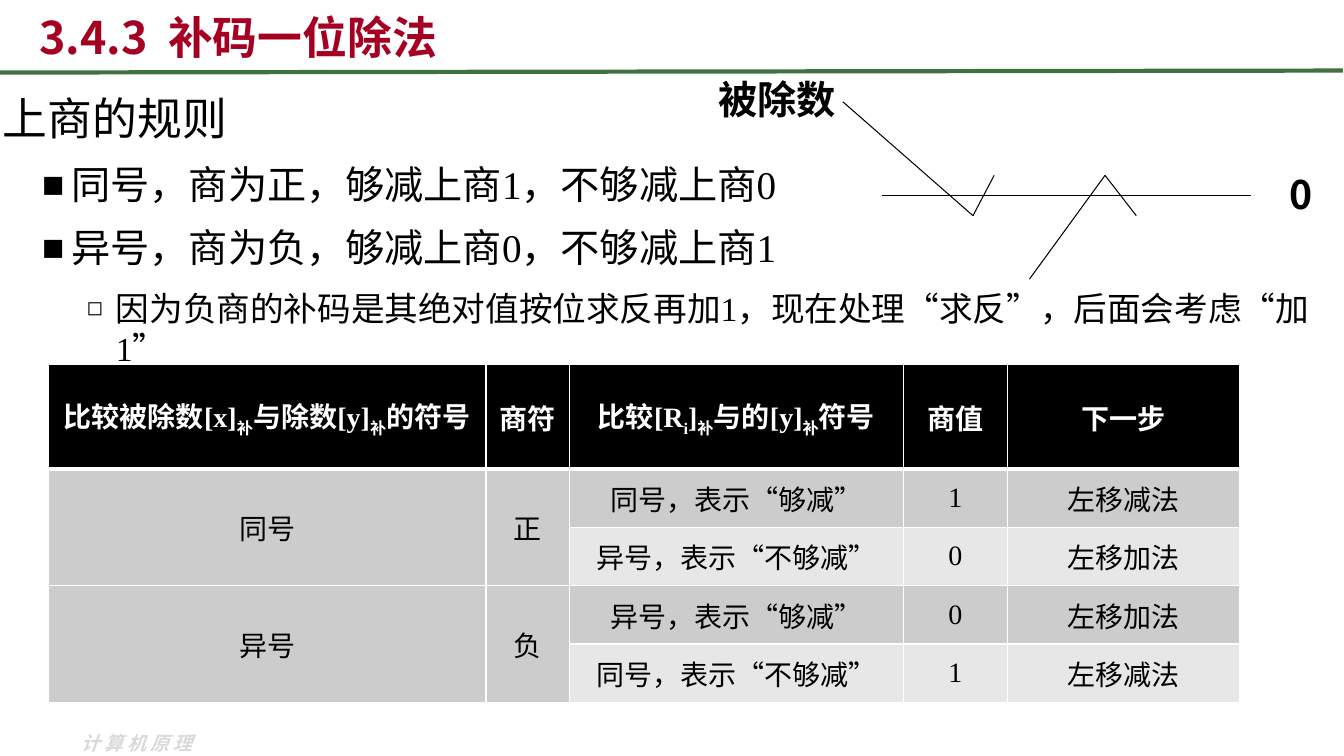
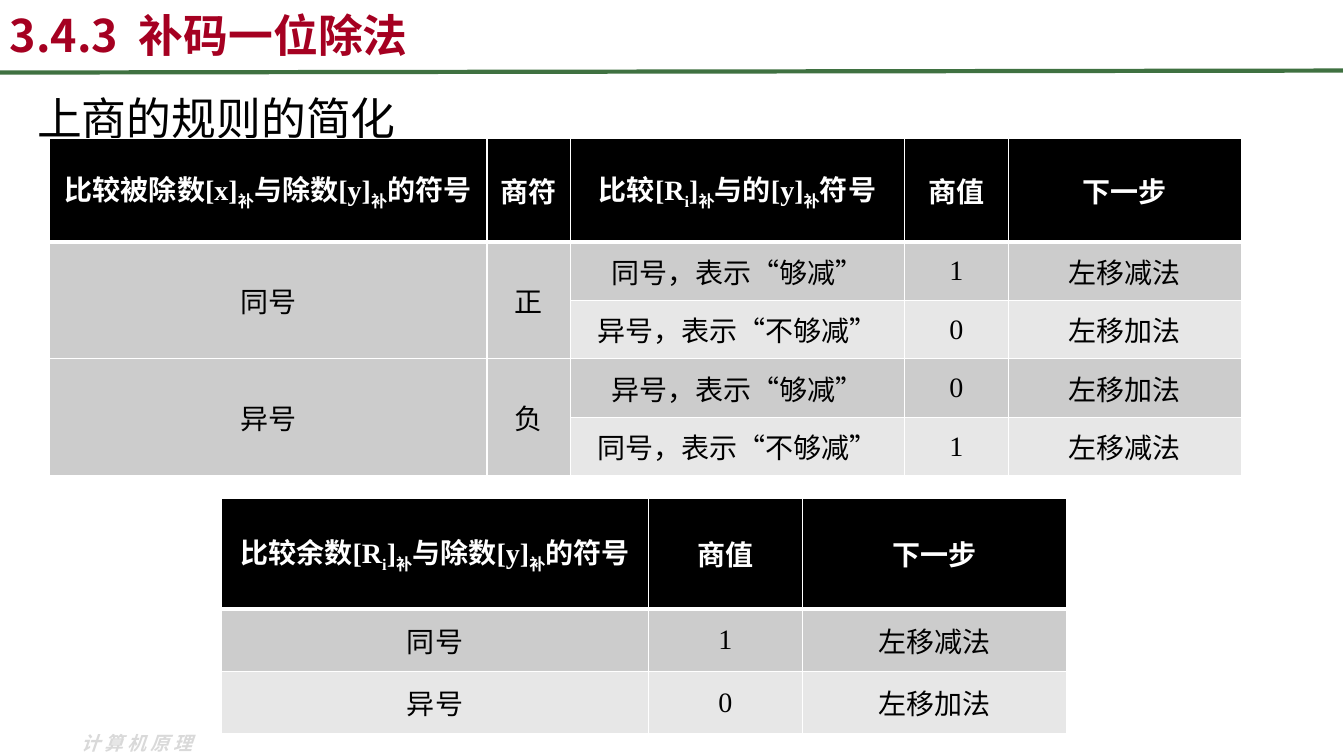
from itertools import pairwise

from lxml import etree
from pptx import Presentation
from pptx.dml.color import RGBColor
from pptx.enum.shapes import MSO_CONNECTOR
from pptx.enum.text import MSO_ANCHOR, PP_ALIGN
from pptx.oxml.ns import qn
from pptx.util import Inches, Pt

STRAIGHT = MSO_CONNECTOR.STRAIGHT
MIDDLE = MSO_ANCHOR.MIDDLE
LEFT, CENTER = PP_ALIGN.LEFT, PP_ALIGN.CENTER

BLACK = RGBColor(0x00, 0x00, 0x00)
WHITE = RGBColor(0xFF, 0xFF, 0xFF)
RED = RGBColor(0xA5, 0x00, 0x21)
GREEN = RGBColor(0x3F, 0x71, 0x41)
FOOTER_GREY = RGBColor(0xD9, 0xD9, 0xD9)
BANDS = (RGBColor(0xCC, 0xCC, 0xCC), RGBColor(0xE7, 0xE7, 0xE7))

SANS = "Noto Sans CJK SC"
SERIF = "Times New Roman"
BULLET_FONT = "DejaVu Sans"

TITLE = "3.4.3  补码一位除法"
FOOTER = "计算机原理"

# An underscore lowers the character after it; None continues the cell above.
RULE_ROWS = [
    ["比较被除数[x]_补与除数[y]_补的符号", "商符", "比较[R_i]_补与的[y]_补符号", "商值", "下一步"],
    ["同号", "正", "同号，表示“够减”", "1", "左移减法"],
    [None, None, "异号，表示“不够减”", "0", "左移加法"],
    ["异号", "负", "异号，表示“够减”", "0", "左移加法"],
    [None, None, "同号，表示“不够减”", "1", "左移减法"],
]
RULE_WIDTHS = (4.34, 0.83, 3.31, 1.03, 2.31)
RULE_HEIGHTS = (1.03, 0.58)

SHORT_ROWS = [
    ["比较余数[R_i]_补与除数[y]_补的符号", "商值", "下一步"],
    ["同号", "1", "左移减法"],
    ["异号", "0", "左移加法"],
]
SHORT_WIDTHS = (4.23, 1.53, 2.62)
SHORT_HEIGHTS = (1.1, 0.62)

# Per level: size, line height, space after (points), left, hanging (inches), bullet
LEVELS = [
    (32, 48, 12, 0, 0, None),
    (28, 33, 12, 0.68, 0.29, "■"),
    (24, 29, 6, 1.12, 0.29, "◻"),
]
RULES_TEXT = [
    (0, "上商的规则"),
    (1, "同号，商为正，够减上商1，不够减上商0"),
    (1, "异号，商为负，够减上商0，不够减上商1"),
    (2, "因为负商的补码是其绝对值按位求反再加1，现在处理“求反”，后面会考虑“加1”"),
]
SIMPLER_TEXT = [(0, "上商的规则的简化")]

SIGN_PATHS = [
    [(8.75, 1.94), (12.41, 1.94)],
    [(8.36, 1.01), (9.65, 2.14), (9.86, 1.74)],
    [(10.21, 2.77), (10.96, 1.74), (11.27, 2.14)],
]
SIGN_LABELS = [("被除数", (6.68, 0.7, 2.05, 0.57)), ("0", (12.52, 1.64, 0.76, 0.57))]


def add_span(para, text, size, font, color, bold=False, lowered=False):
    span = para.add_run()
    span.text = text
    span.font.size = Pt(size)
    span.font.bold = bold
    span.font.color.rgb = color
    span.font.name = font
    properties = span._r.get_or_add_rPr()
    etree.SubElement(properties, qn("a:ea"), typeface=SANS)
    if lowered:
        properties.set("baseline", "-25000")
    return span


def add_frame(page, at):
    frame = page.shapes.add_textbox(*map(Inches, at)).text_frame
    frame.word_wrap = True
    return frame


def add_label(page, text, at, size, color, align=LEFT):
    para = add_frame(page, at).paragraphs[0]
    para.alignment = align
    return add_span(para, text, size, SANS, color, bold=True)


def add_line(page, start, end, color, width):
    line = page.shapes.add_connector(STRAIGHT, *map(Inches, (*start, *end)))
    line.line.color.rgb = color
    line.line.width = Pt(width)
    etree.SubElement(line._element.spPr, qn("a:effectLst"))


def add_bullet(para, left, hanging, bullet):
    properties = para._p.get_or_add_pPr()
    properties.set("marL", str(Inches(left)))
    properties.set("indent", str(-Inches(hanging)))
    etree.SubElement(properties, qn("a:buSzPct"), val="60000")
    etree.SubElement(properties, qn("a:buFont"), typeface=BULLET_FONT)
    etree.SubElement(properties, qn("a:buChar"), char=bullet)


def add_outline(page, items, at):
    frame = add_frame(page, at)
    for index, (level, text) in enumerate(items):
        size, height, after, left, hanging, bullet = LEVELS[level]
        para = frame.add_paragraph() if index else frame.paragraphs[0]
        para.line_spacing = Pt(height)
        para.space_after = Pt(after)
        if bullet:
            add_bullet(para, left, hanging, bullet)
        add_span(para, text, size, SERIF, BLACK)


def set_borders(cell, is_header, below_header):
    properties = cell._tc.get_or_add_tcPr()
    widths = {"L": 1, "R": 1, "T": 3 if below_header else 1, "B": 3 if is_header else 1}
    for position, (side, width) in enumerate(widths.items()):
        border = etree.Element(qn(f"a:ln{side}"), w=str(Pt(width)))
        fill = etree.SubElement(border, qn("a:solidFill"))
        etree.SubElement(fill, qn("a:srgbClr"), val=str(WHITE))
        properties.insert(position, border)


def fill_cell(cell, text, color, bold):
    cell.vertical_anchor = MIDDLE
    para = cell.text_frame.paragraphs[0]
    para.alignment = CENTER
    first, *rest = text.split("_")
    pieces = [(first, False)]
    for part in rest:
        pieces += [(part[0], True), (part[1:], False)]
    for piece, lowered in pieces:
        if piece:
            add_span(para, piece, 20, SERIF, color, bold, lowered)


def add_rule_table(page, rows, widths, heights, left, top):
    head, body = heights
    total = head + body * (len(rows) - 1)
    table = page.shapes.add_table(
        len(rows), len(widths), *map(Inches, (left, top, sum(widths), total))
    ).table
    table.first_row = table.horz_banding = False
    for column, width in zip(table.columns, widths):
        column.width = Inches(width)
    for r, texts in enumerate(rows):
        table.rows[r].height = Inches(body if r else head)
        for c, text in enumerate(texts):
            cell = table.cell(r, c)
            cell.fill.solid()
            cell.fill.fore_color.rgb = BANDS[(r - 1) % 2] if r else BLACK
            set_borders(cell, r == 0, r == 1)
            if text is None:
                table.cell(r - 1, c).merge(cell)
            else:
                fill_cell(cell, text, BLACK if r else WHITE, r == 0)


def add_page(deck, title_left, title_top):
    """Add a blank page with the shared title, rule and footer."""
    page = deck.slides.add_slide(deck.slide_layouts[6])
    footer = add_label(page, FOOTER, (0.71, 7.21, 1.7, 0.34), 13.5, FOOTER_GREY)
    footer.font.italic = True
    footer._r.get_or_add_rPr().set("spc", "300")
    add_label(page, TITLE, (title_left, title_top, 9.36, 0.69), 32, RED)
    add_line(page, (0, 0.72), (13.32, 0.7), GREEN, 3)
    return page


def main():
    deck = Presentation()
    deck.slide_width, deck.slide_height = Inches(13.33), Inches(7.5)

    page = add_page(deck, 0.29, 0.05)
    add_outline(page, RULES_TEXT, (-0.07, 0.72, 13.45, 2.62))
    add_rule_table(page, RULE_ROWS, RULE_WIDTHS, RULE_HEIGHTS, 0.48, 3.62)
    for points in SIGN_PATHS:
        for start, end in pairwise(points):
            add_line(page, start, end, BLACK, 0.75)
    for text, at in SIGN_LABELS:
        add_label(page, text, at, 28, BLACK, CENTER)

    page = add_page(deck, 0, 0.03)
    add_outline(page, SIMPLER_TEXT, (0.27, 0.72, 11.94, 0.65))
    add_rule_table(page, SHORT_ROWS, SHORT_WIDTHS, SHORT_HEIGHTS, 2.2, 4.94)
    add_rule_table(page, RULE_ROWS, RULE_WIDTHS, RULE_HEIGHTS, 0.49, 1.37)

    deck.save("out.pptx")


if __name__ == "__main__":
    main()
